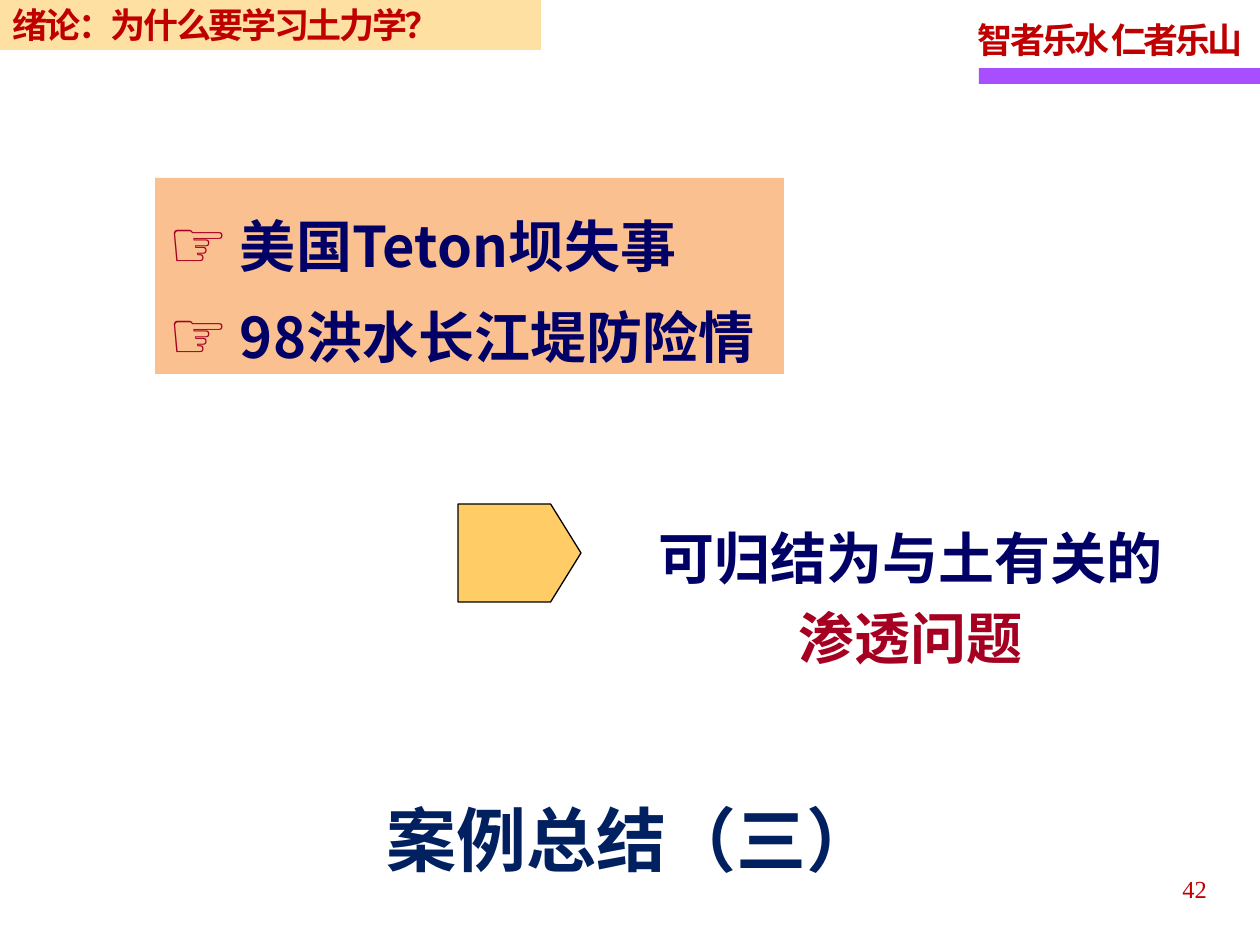
from lxml import etree
from pptx import Presentation
from pptx.dml.color import RGBColor
from pptx.enum.shapes import MSO_SHAPE
from pptx.enum.text import MSO_ANCHOR, MSO_AUTO_SIZE, PP_ALIGN
from pptx.oxml.ns import qn
from pptx.util import Pt

LEFT, CENTER, RIGHT = PP_ALIGN.LEFT, PP_ALIGN.CENTER, PP_ALIGN.RIGHT
TOP, MIDDLE = MSO_ANCHOR.TOP, MSO_ANCHOR.MIDDLE
RECTANGLE, PENTAGON = MSO_SHAPE.RECTANGLE, MSO_SHAPE.PENTAGON
NO_AUTOFIT = MSO_AUTO_SIZE.NONE

PX = 914400 // 126
SANS, SERIF = "Noto Sans CJK SC", "Times New Roman"
COLORS = {
    "red": "C00000", "crimson": "A50021", "navy": "000066", "title": "002060",
    "purple": "A74FFF", "peach": "FAC090", "gold": "FFCC66", "black": "000000",
}

TITLE = "案例总结（三）"
CHAPTER = "绪论：为什么要学习土力学？"
MOTTO = "智者乐水 仁者乐山"
PAGE_NUMBER = "42"
CASES = ["美国Teton坝失事", "98洪水长江堤防险情"]
CONCLUSION = [("可归结为与土有关的", "navy"), ("渗透问题", "crimson")]

BOXES = {
    "title": (374, 790, 522, 97),
    "cases": (155, 178, 629, 196),
    "conclusion": (645, 500, 532, 174),
    "arrow": (458, 504, 123, 98),
    "chapter": (0, 0, 541, 50),
    "motto": (965, 9, 295, 62),
    "bar": (979, 68, 281, 16),
    "page": (926, 864, 294, 50),
}


def color(name):
    return RGBColor.from_string(COLORS[name])


def box(name):
    return [value * PX for value in BOXES[name]]


def add_shape(slide, kind, name, fill):
    shape = slide.shapes.add_shape(kind, *box(name))
    shape.shadow.inherit = False
    shape.fill.solid()
    shape.fill.fore_color.rgb = color(fill)
    shape.line.fill.background()
    return shape


def move(shape, name):
    shape.left, shape.top, shape.width, shape.height = box(name)
    return shape


def add_bullet(paragraph, indent):
    properties = paragraph._p.get_or_add_pPr()
    properties.set("marL", str(indent * PX))
    properties.set("indent", str(-indent * PX))
    bullet_color = etree.SubElement(properties, qn("a:buClr"))
    etree.SubElement(bullet_color, qn("a:srgbClr"), val=COLORS["crimson"])
    etree.SubElement(properties, qn("a:buSzPct"), val="120000")
    etree.SubElement(properties, qn("a:buChar"), char="☞")


def write(shape, lines, size, font=SANS, bold=True, align=LEFT, anchor=MIDDLE,
          margins=(13, 0, 0, 0), line_height=None, tracking=0, bullet_indent=0):
    frame = shape.text_frame
    frame.auto_size = NO_AUTOFIT
    frame.word_wrap = True
    frame.vertical_anchor = anchor
    (frame.margin_left, frame.margin_top,
     frame.margin_right, frame.margin_bottom) = [value * PX for value in margins]
    for index, (text, text_color) in enumerate(lines):
        paragraph = frame.add_paragraph() if index else frame.paragraphs[0]
        paragraph.text = text
        paragraph.alignment = align
        paragraph.space_before = Pt(0)
        if line_height:
            paragraph.line_spacing = Pt(line_height)
        if bullet_indent:
            add_bullet(paragraph, bullet_indent)
        paragraph.font.size = Pt(size)
        paragraph.font.bold = bold
        paragraph.font.color.rgb = color(text_color)
        paragraph.font.name = font
        properties = paragraph.font._rPr
        etree.SubElement(properties, qn("a:ea"), typeface=SANS)
        if tracking:
            properties.set("spc", str(round(tracking * 100)))


def main():
    presentation = Presentation()
    presentation.slide_width, presentation.slide_height = 1260 * PX, 945 * PX
    slide = presentation.slides.add_slide(presentation.slide_layouts[1])

    add_shape(slide, RECTANGLE, "bar", "purple")
    motto = slide.shapes.add_textbox(*box("motto"))
    write(motto, [(MOTTO, "red")], 20, SERIF, tracking=-1.7)
    page = slide.shapes.add_textbox(*box("page"))
    write(page, [(PAGE_NUMBER, "red")], 14, SERIF, bold=False, align=RIGHT,
          margins=(0, 0, 13, 0))

    conclusion = slide.shapes.add_textbox(*box("conclusion"))
    write(conclusion, CONCLUSION, 32, align=CENTER, anchor=TOP,
          margins=(0, 10, 0, 0), line_height=46)

    cases = move(slide.placeholders[1], "cases")
    cases.fill.solid()
    cases.fill.fore_color.rgb = color("peach")
    write(cases, [(case, "navy") for case in CASES], 32, anchor=TOP,
          margins=(13, 10, 0, 0), line_height=52, bullet_indent=72)

    arrow = add_shape(slide, PENTAGON, "arrow", "gold")
    arrow.adjustments[0] = 0.31
    arrow.line.color.rgb = color("black")
    arrow.line.width = Pt(0.75)

    write(move(slide.shapes.title, "title"), [(TITLE, "title")], 40, SERIF)

    chapter = add_shape(slide, RECTANGLE, "chapter", "gold")
    fill_color = chapter._element.spPr.find(qn("a:solidFill"))[0]
    etree.SubElement(fill_color, qn("a:alpha"), val="60000")
    write(chapter, [(CHAPTER, "red")], 20, tracking=-1.4)

    presentation.save("out.pptx")


if __name__ == "__main__":
    main()
